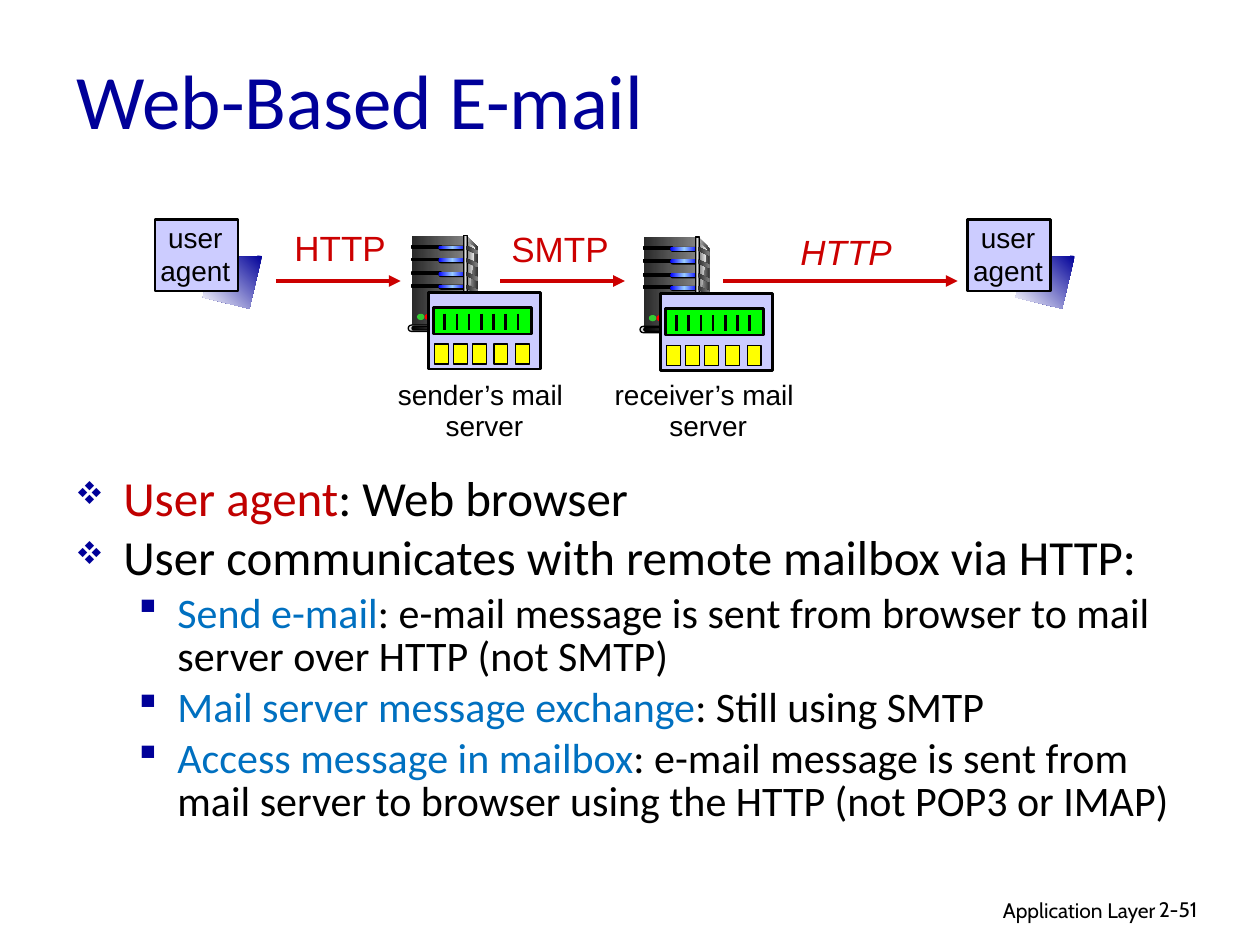
from lxml.etree import SubElement
from pptx import Presentation
from pptx.dml.color import RGBColor
from pptx.enum.shapes import MSO_CONNECTOR, MSO_SHAPE
from pptx.enum.text import MSO_ANCHOR, PP_ALIGN
from pptx.oxml.ns import qn
from pptx.util import Inches, Pt

BLACK = RGBColor(0x00, 0x00, 0x00)
NAVY = RGBColor(0x00, 0x00, 0x99)
CRIMSON = RGBColor(0xC0, 0x00, 0x00)
RED = RGBColor(0xCC, 0x00, 0x00)
SKY = RGBColor(0x00, 0x70, 0xC0)
LAVENDER = RGBColor(0xCC, 0xCC, 0xFF)
LIME = RGBColor(0x00, 0xFF, 0x00)
YELLOW = RGBColor(0xFF, 0xFF, 0x00)
WHITE = RGBColor(0xFF, 0xFF, 0xFF)
BLUE = RGBColor(0x00, 0x00, 0xFF)
PALE_BLUE = RGBColor(0x99, 0xCC, 0xFF)
LAMP_GREEN = RGBColor(0x33, 0xCC, 0x33)
LAMP_RED = RGBColor(0xFF, 0x00, 0x00)
INK = RGBColor(0x29, 0x29, 0x29)
DARK = RGBColor(0x33, 0x33, 0x33)
GRAY = RGBColor(0x80, 0x80, 0x80)
SILVER = RGBColor(0xDD, 0xDD, 0xDD)
FROST = RGBColor(0xF8, 0xF8, 0xF8)

RECT, PILL, OVAL = MSO_SHAPE.RECTANGLE, MSO_SHAPE.ROUNDED_RECTANGLE, MSO_SHAPE.OVAL


class MailSlide:
    """Holds the current page, the shapes being drawn into, and the drawing style."""

    def __init__(self, page):
        self.page = page
        self.canvas = page.shapes

    def start_group(self):
        self.canvas = self.page.shapes.add_group_shape().shapes

    def end_group(self):
        self.canvas = self.page.shapes

    def paint(self, shape, fill, line=None, angle=0):
        """Fill with one colour, or with a gradient when fill is a list."""
        shape.shadow.inherit = False
        if isinstance(fill, list):
            shape.fill.gradient()
            gradient = shape._element.spPr.find(qn("a:gradFill"))
            stops = gradient.find(qn("a:gsLst"))
            for stop in list(stops):
                stops.remove(stop)
            for index, color in enumerate(fill):
                position = str(100000 * index // (len(fill) - 1))
                stop = SubElement(stops, qn("a:gs"), pos=position)
                SubElement(stop, qn("a:srgbClr"), val=str(color))
            gradient.find(qn("a:lin")).set("ang", str(angle * 60000))
        else:
            shape.fill.solid()
            shape.fill.fore_color.rgb = fill
        if line:
            shape.line.color.rgb = BLACK
            shape.line.width = Pt(line)
        else:
            shape.line.fill.background()

    def block(self, kind, left, top, width, height, fill, line=None):
        shape = self.canvas.add_shape(kind, Inches(left), Inches(top), Inches(width), Inches(height))
        if kind == PILL:
            shape.adjustments[0] = 0.5
        self.paint(shape, fill, line)

    def outline(self, points, fill, angle=0):
        corners = [(Inches(x), Inches(y)) for x, y in points]
        builder = self.canvas.build_freeform(*corners[0], scale=1.0)
        builder.add_line_segments(corners[1:], close=True)
        self.paint(builder.convert_to_shape(), fill, angle=angle)

    def line(self, x1, y1, x2, y2, color=BLACK, width=1.5, arrow=False):
        connector = self.canvas.add_connector(
            MSO_CONNECTOR.STRAIGHT, Inches(x1), Inches(y1), Inches(x2), Inches(y2))
        connector.line.color.rgb = color
        connector.line.width = Pt(width)
        properties = connector._element.spPr
        if arrow:
            SubElement(properties.find(qn("a:ln")), qn("a:tailEnd"), type="triangle")
        SubElement(properties, qn("a:effectLst"))

    def span(self, para, text, size, color, font, italic=False):
        run = para.add_run()
        run.text = text
        run.font.size = Pt(size)
        run.font.name = font
        run.font.color.rgb = color
        run.font.italic = italic

    def text(self, left, top, width, height, lines, size, color=BLACK, font="Arial",
             align=PP_ALIGN.CENTER, spacing=1.0, wrap=False, italic=False,
             anchor=MSO_ANCHOR.TOP):
        box = self.canvas.add_textbox(Inches(left), Inches(top), Inches(width), Inches(height))
        frame = box.text_frame
        frame.word_wrap = wrap
        frame.vertical_anchor = anchor
        for index, words in enumerate(lines):
            para = frame.add_paragraph() if index else frame.paragraphs[0]
            para.alignment = align
            para.line_spacing = spacing
            self.span(para, words, size, color, font, italic)

    def bullets(self, left, top, width, height, items):
        box = self.canvas.add_textbox(Inches(left), Inches(top), Inches(width), Inches(height))
        frame = box.text_frame
        frame.word_wrap = True
        # Wingdings draws "v" as a diamond cluster and "§" as a small square
        styles = [(28, 0.38, 0.38, "v", 65), (24, 0.81, 0.31, "§", 100)]
        for index, (level, spans) in enumerate(items):
            size, margin, hanging, mark, percent = styles[level]
            para = frame.add_paragraph() if index else frame.paragraphs[0]
            para.level = level
            para.line_spacing = 0.85
            if index:
                para.space_before = Pt(size * 0.2)
            properties = para._p.get_or_add_pPr()
            properties.set("marL", str(Inches(margin)))
            properties.set("indent", str(-Inches(hanging)))
            color = SubElement(properties, qn("a:buClr"))
            SubElement(color, qn("a:srgbClr"), val=str(NAVY))
            SubElement(properties, qn("a:buSzPct"), val=str(percent * 1000))
            SubElement(properties, qn("a:buFont"), typeface="Wingdings", charset="2")
            SubElement(properties, qn("a:buChar"), char=mark)
            for words, ink in spans:
                self.span(para, words, size, ink, "Calibri")

    def tower(self, x, y):
        """Server cabinet whose front panel starts at x, y."""
        self.start_group()
        self.outline([(x + 0.43, y), (x + 0.52, y + 0.09), (x + 0.52, y + 0.7),
                      (x + 0.41, y + 0.73)], [SILVER, DARK])
        self.block(RECT, x, y, 0.41, 0.72, [INK, GRAY])
        self.outline([(x + 0.44, y + 0.05), (x + 0.5, y + 0.1), (x + 0.46, y + 0.4),
                      (x + 0.44, y + 0.71)], [GRAY, FROST])
        slots = [y + drop for drop in (0.08, 0.18, 0.29, 0.39)]
        for slot in slots:
            self.block(RECT, x, slot, 0.23, 0.02, BLACK, 0.75)
            self.block(PILL, x + 0.21, slot, 0.23, 0.04, BLACK)
            self.block(PILL, x + 0.21, slot, 0.22, 0.03, [BLUE, PALE_BLUE, BLUE])
        self.block(RECT, x + 0.41, y, 0.03, 0.72, [DARK, SILVER, DARK], 0.75)
        for slot in slots:
            self.outline([(x + 0.43, slot), (x + 0.52, slot + 0.04), (x + 0.52, slot + 0.07),
                          (x + 0.43, slot + 0.03)], [INK, GRAY])
        self.block(PILL, x - 0.03, y + 0.71, 0.47, 0.05, SILVER, 0.75)
        self.block(PILL, x, y + 0.72, 0.42, 0.03, [BLACK, GRAY], 0.75)
        self.block(OVAL, x + 0.04, y + 0.62, 0.06, 0.05, LAMP_GREEN)
        self.block(OVAL, x + 0.1, y + 0.62, 0.06, 0.05, LAMP_RED)
        self.block(RECT, x + 0.33, y + 0.45, 0.03, 0.24, INK, 0.75)
        self.end_group()

    def mailbox(self, x, y):
        """Message queue above a row of user mailboxes."""
        self.start_group()
        self.block(RECT, x, y, 0.89, 0.61, LAVENDER, 1.5)
        self.block(RECT, x + 0.04, y + 0.12, 0.78, 0.21, LIME, 1.5)
        for index in range(7):
            tick = x + 0.13 + index * 0.58 / 6
            self.line(tick, y + 0.17, tick, y + 0.3)
        for shift in (0.05, 0.2, 0.35, 0.52, 0.69):
            self.block(RECT, x + shift, y + 0.41, 0.11, 0.16, YELLOW, 0.75)
        self.end_group()

    def agent(self, x, y):
        """User agent window with its shaded corner."""
        self.start_group()
        self.outline([(x + 0.85, y + 0.29), (x + 0.45, y + 0.31), (x + 0.38, y + 0.62),
                      (x + 0.75, y + 0.71)], [NAVY, WHITE], angle=135)
        self.block(RECT, x, y, 0.66, 0.57, LAVENDER, 1.5)
        self.text(x - 0.06, y - 0.04, 0.76, 0.64, ["user", "agent"], 16)
        self.end_group()


def main():
    deck = Presentation()
    deck.slide_width, deck.slide_height = Inches(10), Inches(7.5)
    slide = MailSlide(deck.slides.add_slide(deck.slide_layouts[6]))

    # Footer and title
    slide.text(6.1, 7.07, 3.17, 0.31, ["Application Layer"], 12, font="Cabin",
               align=PP_ALIGN.RIGHT, wrap=True)
    slide.text(9.1, 7.07, 0.74, 0.3, ["2-51"], 12, font="Cabin", align=PP_ALIGN.LEFT, wrap=True)
    slide.text(0.51, 0.26, 8.5, 1.05, ["Web-Based E-mail"], 44, NAVY, "Calibri",
               PP_ALIGN.LEFT, wrap=True, anchor=MSO_ANCHOR.MIDDLE)

    # Explanation
    slide.bullets(0.5, 3.73, 9.11, 3.2, [
        (0, [("User agent", CRIMSON), (": Web browser", BLACK)]),
        (0, [("User communicates with remote mailbox via HTTP:", BLACK)]),
        (1, [("Send e-mail", SKY),
             (": e-mail message is sent from browser to mail server over HTTP (not SMTP)", BLACK)]),
        (1, [("Mail server message exchange", SKY), (": Still using SMTP", BLACK)]),
        (1, [("Access message in mailbox", SKY),
             (": e-mail message is sent from mail server to browser using the HTTP "
              "(not POP3 or IMAP)", BLACK)]),
    ])

    # Mail servers
    for x, y in ((3.27, 1.87), (5.11, 1.88)):
        slide.tower(x, y)
        slide.mailbox(x + 0.13, y + 0.45)
    slide.text(3.06, 2.98, 1.57, 0.58, ["sender’s mail ", "server"], 16, spacing=0.9)
    slide.text(4.78, 2.98, 1.68, 0.58, ["receiver’s mail ", "server"], 16, spacing=0.9)

    # Protocols between the parties
    slide.text(2.23, 1.75, 0.94, 0.44, ["HTTP"], 20, RED)
    slide.text(3.96, 1.76, 0.97, 0.43, ["SMTP"], 20, RED)
    slide.text(5.89, 1.83, 1.65, 0.39, ["HTTP"], 20, RED, spacing=0.85, wrap=True, italic=True)
    for start, end in ((2.19, 3.18), (3.97, 4.96), (5.74, 7.6)):
        slide.line(start, 2.23, end, 2.23, RED, 2.25, arrow=True)

    # User agents
    for x in (1.23, 7.68):
        slide.agent(x, 1.74)

    deck.save("out.pptx")


if __name__ == "__main__":
    main()
